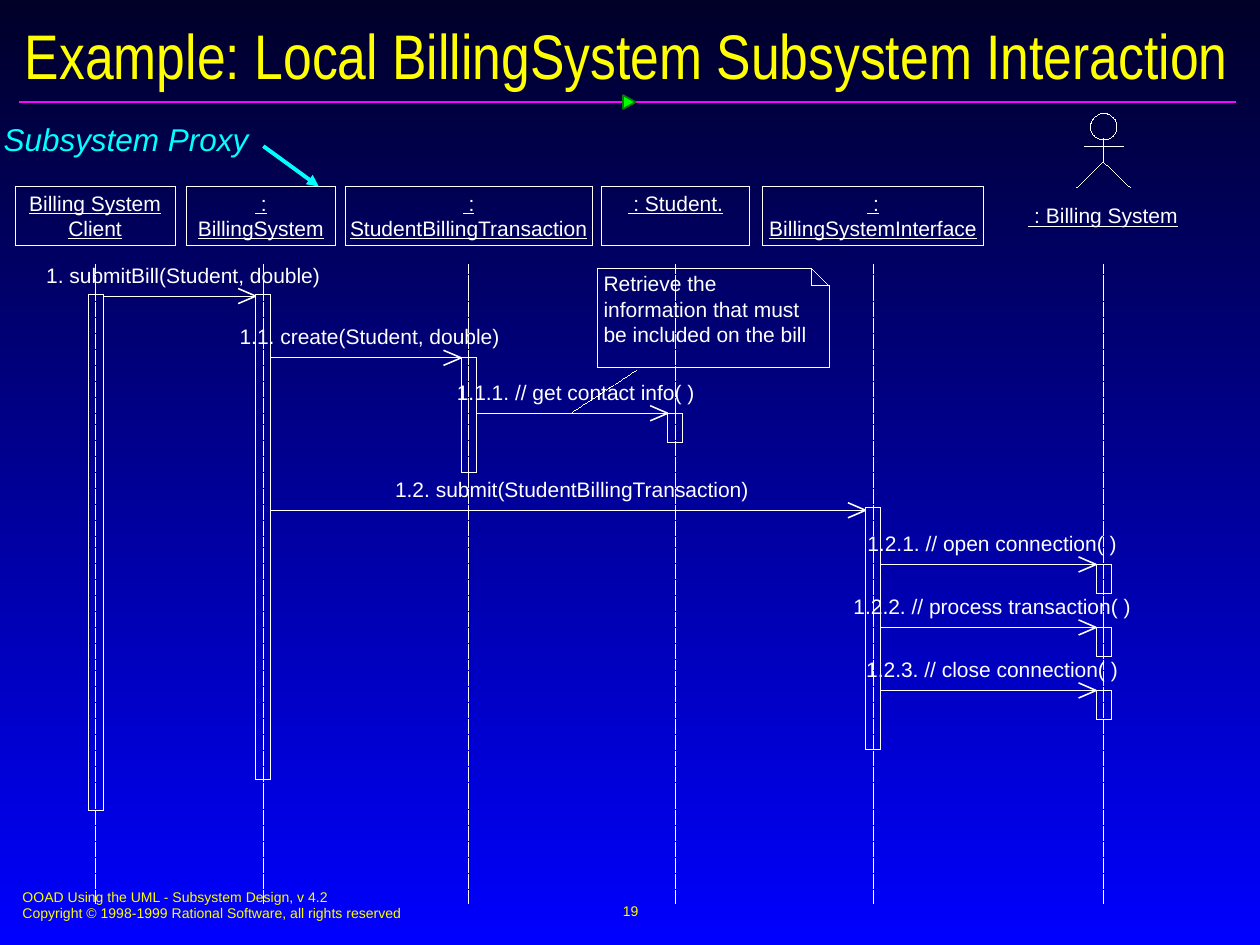
from dataclasses import dataclass

from pptx import Presentation
from pptx.dml.color import RGBColor
from pptx.enum.dml import MSO_LINE
from pptx.enum.shapes import MSO_CONNECTOR, MSO_SHAPE
from pptx.enum.text import MSO_ANCHOR as Anchor, MSO_AUTO_SIZE as AutoSize, PP_ALIGN as Align
from pptx.oxml.ns import qn
from pptx.util import Inches, Pt
from lxml.etree import SubElement


@dataclass(frozen=True)
class Theme:
    """Colours, fonts, type sizes and line widths."""
    top: str = "000028"
    bottom: str = "0000FF"
    ink: str = "FFFFFF"
    accent: str = "FFFF00"
    rule: str = "FF01FF"
    marker: str = "00FF00"
    marker_edge: str = "037C03"
    callout: str = "00FFFF"
    font: str = "Arial"
    title_font: str = "Arial Narrow"
    title: int = 36
    callout_size: int = 18
    body: int = 12
    small: int = 8
    hairline: float = 0
    head_line: float = 0.88


@dataclass(frozen=True)
class Box:
    """A region in inches."""
    left: float
    top: float
    width: float
    height: float

    def emu(self):
        """Return the four lengths for python-pptx."""
        return [Inches(v) for v in (self.left, self.top, self.width, self.height)]


THEME = Theme()
BAR_WIDTH = 0.12
HEADERS = Box(0, 1.48, 10, 0.47)
LIFELINES = Box(0, 2.1, 10, 5.07)

PARTICIPANTS = {
    "client": (0.12, 1.27, ["Billing System", "Client"], 0.76, [(2.34, 4.09)]),
    "proxy": (1.48, 1.18, [" :", "BillingSystem"], 2.09, [(2.34, 3.85)]),
    "transaction": (2.74, 1.96, [" :", "StudentBillingTransaction"], 3.72, [(2.84, 0.91)]),
    "student": (4.77, 1.18, [" : Student."], 5.36, [(3.28, 0.23)]),
    "interface": (6.05, 1.76, [" :", "BillingSystemInterface"], 6.93, [(4.03, 1.92)]),
    "actor": (8.16, 1.19, None, 8.76, [(4.48, 0.23), (4.98, 0.23), (5.48, 0.23)]),
}

MESSAGES = [
    ("1. submitBill(Student, double)", "client", "proxy", 2.35, 2.2),
    ("1.1. create(Student, double)", "proxy", "transaction", 2.84, 2.1),
    ("1.1.1. // get contact info( )", "transaction", "student", 3.28, 1.92),
    ("1.2. submit(StudentBillingTransaction)", "proxy", "interface", 4.05, 2.85),
    ("1.2.1. // open connection( )", "interface", "actor", 4.48, 2.04),
    ("1.2.2. // process transaction( )", "interface", "actor", 4.98, 2.25),
    ("1.2.3. // close connection( )", "interface", "actor", 5.48, 2.06),
]


def rgb(value):
    """Turn a hex string into a colour."""
    return RGBColor.from_string(value)


def put_text(shape, lines, size=THEME.body, color=THEME.ink, font=THEME.font, align=Align.LEFT,
             anchor=Anchor.TOP, inset=(0, 0), wrap=False, grow=False, underline=False, italic=False):
    """Write one paragraph per line into a shape."""
    frame = shape.text_frame
    frame.word_wrap = wrap
    frame.auto_size = AutoSize.SHAPE_TO_FIT_TEXT if grow else AutoSize.NONE
    frame.vertical_anchor = anchor
    frame.margin_left = frame.margin_right = Inches(inset[0])
    frame.margin_top = frame.margin_bottom = Inches(inset[1])
    for index, line in enumerate(lines):
        paragraph = frame.paragraphs[0] if index == 0 else frame.add_paragraph()
        paragraph.alignment = align
        run = paragraph.add_run()
        run.text = line
        run.font.name, run.font.size = font, Pt(size)
        run.font.color.rgb = rgb(color)
        run.font.underline, run.font.italic = underline, italic


def add_text(slide, box, lines, **text_format):
    """Add a text box."""
    put_text(slide.shapes.add_textbox(*box.emu()), lines, **text_format)


def set_stroke(line, color, width):
    """Colour a line and write its width out, so that zero stays a hairline."""
    line.color.rgb = rgb(color)
    line._get_or_add_ln().set("w", str(int(Pt(width))))


def outline(shape, color=THEME.ink, width=THEME.hairline, fill=None):
    """Give a shape its line and optional fill."""
    shape.shadow.inherit = False
    if fill:
        shape.fill.solid()
        shape.fill.fore_color.rgb = rgb(fill)
    else:
        shape.fill.background()
    set_stroke(shape.line, color, width)
    return shape


def add_outline(slide, kind, box, **line_format):
    """Add an outlined preset shape."""
    return outline(slide.shapes.add_shape(kind, *box.emu()), **line_format)


def add_path(slide, points, close=False):
    """Add an outlined freeform through points in inches."""
    start, *rest = [(Inches(x), Inches(y)) for x, y in points]
    builder = slide.shapes.build_freeform(*start)
    builder.add_line_segments(rest, close=close)
    return outline(builder.convert_to_shape())


def add_line(slide, start, end, color=THEME.ink, width=THEME.hairline, dashed=False, head=False):
    """Add a straight connector between two points in inches."""
    line = slide.shapes.add_connector(MSO_CONNECTOR.STRAIGHT, *[Inches(v) for v in (*start, *end)])
    set_stroke(line.line, color, width)
    if dashed:
        line.line.dash_style = MSO_LINE.SQUARE_DOT
    if head:
        SubElement(line.line._get_or_add_ln(), qn("a:tailEnd"), type="triangle")
    SubElement(line._element.spPr, qn("a:effectLst"))


def paint_background(slide):
    """Fill the slide from dark to bright blue."""
    fill = slide.background.fill
    fill.gradient()
    fill.gradient_angle = 270
    for stop, color, position in zip(fill.gradient_stops, (THEME.top, THEME.bottom), (0, 1)):
        stop.color.rgb = rgb(color)
        stop.position = position


def draw_title(slide, box, title):
    """Place the title, with its rule and marker below."""
    rule_y = box.top + box.height + 0.09
    add_line(slide, (box.left + 0.05, rule_y), (box.left + 9.71, rule_y), THEME.rule, 1)
    marker = add_outline(slide, MSO_SHAPE.ISOSCELES_TRIANGLE, Box(box.left + 4.84, rule_y - 0.05, 0.11, 0.1),
                         color=THEME.marker_edge, width=1, fill=THEME.marker)
    marker.rotation = 90
    add_text(slide, box, [title], size=THEME.title, color=THEME.accent, font=THEME.title_font,
             anchor=Anchor.MIDDLE, inset=(0.1, 0.05), wrap=True)


def draw_header(slide, box, lines):
    """Place a participant's name in its frame."""
    header = add_outline(slide, MSO_SHAPE.RECTANGLE, box)
    put_text(header, lines, align=Align.CENTER, inset=(0, 0.03), underline=True)


def draw_actor(slide, box, name):
    """Place a stick figure with its name underneath."""
    x, hip, foot = box.left + box.width / 2, box.top + 0.38, box.top + 0.59
    add_outline(slide, MSO_SHAPE.OVAL, Box(x - 0.1, box.top, 0.21, 0.21))
    add_line(slide, (x, box.top + 0.2), (x, hip))
    add_line(slide, (x - 0.15, box.top + 0.26), (x + 0.16, box.top + 0.26))
    add_path(slide, [(x - 0.21, foot), (x, hip), (x + 0.22, foot)])
    add_text(slide, Box(box.left, box.top + box.height - 0.2, box.width, 0.2), [name],
             align=Align.CENTER, grow=True, underline=True)


def draw_lifeline(slide, box, x, activations):
    """Place a dashed lifeline and its activation bars."""
    add_line(slide, (x, box.top), (x, box.top + box.height), dashed=True)
    for top, height in activations:
        add_outline(slide, MSO_SHAPE.RECTANGLE, Box(x - BAR_WIDTH / 2, top, BAR_WIDTH, height))


def draw_message(slide, box, label, label_width):
    """Place a message arrow along the bottom of its box, label above."""
    y, tip = box.top + box.height, box.left + box.width
    add_line(slide, (box.left, y), (tip, y))
    for rise in (0.06, -0.06):
        add_line(slide, (tip, y), (tip - 0.14, y + rise), width=THEME.head_line)
    label_left = box.left + (box.width - label_width) / 2 + 0.03
    add_text(slide, Box(label_left, box.top, label_width, 0.2), [label], align=Align.CENTER, grow=True)


def draw_note(slide, box, text, target):
    """Place a note with a folded corner and a line to its target."""
    right, bottom, fold = box.left + box.width, box.top + box.height, 0.14
    crease, corner = (right - fold, box.top), (right, box.top + fold)
    note = add_path(slide, [(box.left, box.top), crease, corner, (right, bottom), (box.left, bottom)], close=True)
    put_text(note, [text], inset=(0.05, 0.02), wrap=True)
    add_path(slide, [crease, (right - fold, box.top + fold), corner])
    add_line(slide, (box.left + 0.31, bottom + 0.02), target, dashed=True)


def draw_callout(slide, box, text, target):
    """Place an italic remark and its arrow."""
    add_text(slide, box, [text], size=THEME.callout_size, color=THEME.callout,
             inset=(0.1, 0.05), wrap=True, italic=True)
    add_line(slide, (box.left + 2.16, box.top + 0.26), target, THEME.callout, 2.25, head=True)


def draw_footer(slide, box, lines, number):
    """Place the copyright lines and the page number."""
    small = dict(size=THEME.small, color=THEME.accent, inset=(0.1, 0.05), wrap=True)
    add_text(slide, Box(box.left, box.top + 0.02, 5.1, 0.37), lines, **small)
    add_text(slide, Box(box.left + 3.34, box.top, 3.17, box.height), [number],
             align=Align.CENTER, anchor=Anchor.MIDDLE, **small)


def main():
    """Build and save the slide."""
    deck = Presentation()
    deck.slide_width, deck.slide_height = Inches(10), Inches(7.5)
    slide = deck.slides.add_slide(deck.slide_layouts[6])
    paint_background(slide)
    draw_title(slide, Box(0.1, 0.14, 9.84, 0.58), "Example: Local BillingSystem Subsystem Interaction")
    for left, width, lines, x, activations in PARTICIPANTS.values():
        if lines:
            draw_header(slide, Box(left, HEADERS.top, width, HEADERS.height), lines)
        else:
            draw_actor(slide, Box(left, 0.9, width, 0.91), " : Billing System")
        draw_lifeline(slide, LIFELINES, x, activations)
    for label, sender, receiver, y, label_width in MESSAGES:
        start = PARTICIPANTS[sender][3] + BAR_WIDTH / 2
        end = PARTICIPANTS[receiver][3] - BAR_WIDTH / 2
        draw_message(slide, Box(start, y - 0.27, end - start, 0.27), label, label_width)
    draw_note(slide, Box(4.74, 2.13, 1.84, 0.79),
              "Retrieve the information that must be included on the bill", (4.53, 3.28))
    draw_callout(slide, Box(-0.07, 0.9, 2.6, 0.4), "Subsystem Proxy", (2.53, HEADERS.top))
    draw_footer(slide, Box(0.08, 6.98, 9.84, 0.5),
                ["OOAD Using the UML - Subsystem Design, v 4.2",
                 "Copyright © 1998-1999 Rational Software, all rights reserved"], "19")
    deck.save("out.pptx")


if __name__ == "__main__":
    main()
